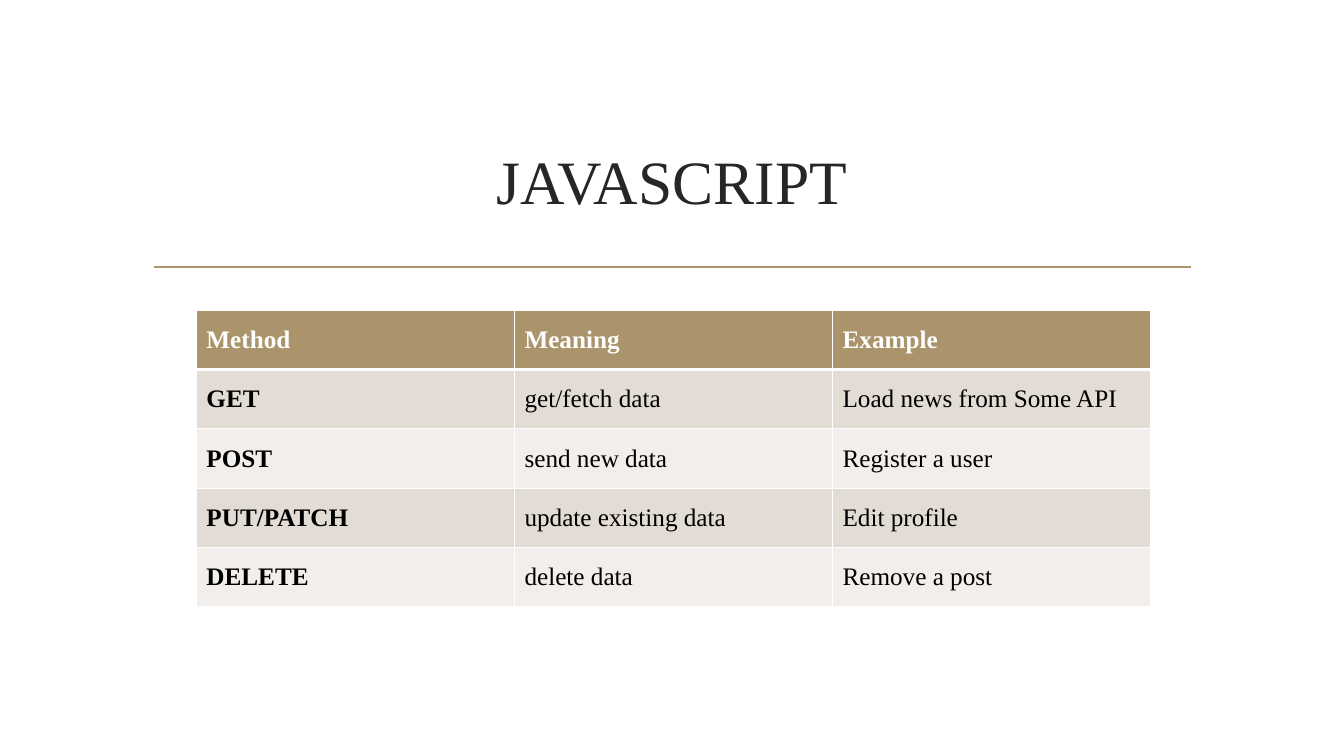
from lxml import etree
from pptx import Presentation
from pptx.dml.color import RGBColor
from pptx.enum.shapes import MSO_CONNECTOR
from pptx.enum.text import MSO_ANCHOR, PP_ALIGN
from pptx.oxml.ns import qn
from pptx.util import Pt

STRAIGHT = MSO_CONNECTOR.STRAIGHT
MIDDLE = MSO_ANCHOR.MIDDLE
CENTER = PP_ALIGN.CENTER

TITLE = "JAVASCRIPT"
ROWS = [
    ("Method", "Meaning", "Example"),
    ("GET", "get/fetch data", "Load news from Some API"),
    ("POST", "send new data", "Register a user"),
    ("PUT/PATCH", "update existing data", "Edit profile"),
    ("DELETE", "delete data", "Remove a post"),
]
FONT = "Times New Roman"
GOLD, WHITE, BLACK, CHARCOAL = "AB946B", "FFFFFF", "000000", "262626"
BANDS = ("F1EEEB", "E2DCD4")

PAGE_WIDTH, PAGE_HEIGHT = 960, 540
TITLE_BOX = (102, 77, 756, 103)
RULE_LEFT, RULE_RIGHT, RULE_TOP = 110.2, 850.5, 190.8
TABLE_LEFT, TABLE_TOP = 140.3, 221.6
COLUMN_WIDTH, ROW_HEIGHT = 227.2, 42.35


def color(value):
    return RGBColor.from_string(value)


def style(paragraph, size, ink, bold=False):
    for span in paragraph.runs:
        span.font.name = FONT
        span.font.size = Pt(size)
        span.font.bold = bold
        span.font.color.rgb = color(ink)


def add_border(cell, side, width):
    line = etree.SubElement(cell._tc.get_or_add_tcPr(), qn(f"a:ln{side}"), w=str(Pt(width)))
    fill = etree.SubElement(line, qn("a:solidFill"))
    etree.SubElement(fill, qn("a:srgbClr"), val=WHITE)


def add_title(page):
    box = page.shapes.add_textbox(*map(Pt, TITLE_BOX))
    frame = box.text_frame
    frame.word_wrap = True
    frame.vertical_anchor = MIDDLE
    frame.text = TITLE
    para = frame.paragraphs[0]
    para.alignment = CENTER
    style(para, 44, CHARCOAL)


def add_rule(page):
    rule = page.shapes.add_connector(
        STRAIGHT, Pt(RULE_LEFT), Pt(RULE_TOP), Pt(RULE_RIGHT), Pt(RULE_TOP))
    # Without the theme style, only the line settings below apply.
    rule._element.remove(rule._element.find(qn("p:style")))
    rule.line.width = Pt(1.25)
    rule.line.fill.solid()
    rule.line.fill.fore_color.rgb = color(GOLD)
    etree.SubElement(rule._element.spPr, qn("a:effectLst"))


def fill_cell(cell, text, row, column):
    header = row == 0
    for side in "LRTB":
        heavy = (row, side) in ((0, "B"), (1, "T"))
        add_border(cell, side, 3 if heavy else 1)
    cell.fill.solid()
    cell.fill.fore_color.rgb = color(GOLD if header else BANDS[row % 2])
    cell.vertical_anchor = MIDDLE
    cell.text_frame.text = text
    style(cell.text_frame.paragraphs[0], 18, WHITE if header else BLACK,
          bold=header or column == 0)


def add_methods_table(page):
    row_count, column_count = len(ROWS), len(ROWS[0])
    table = page.shapes.add_table(
        row_count, column_count, Pt(TABLE_LEFT), Pt(TABLE_TOP),
        Pt(COLUMN_WIDTH * column_count), Pt(ROW_HEIGHT * row_count)).table
    for column in table.columns:
        column.width = Pt(COLUMN_WIDTH)
    for row in table.rows:
        row.height = Pt(ROW_HEIGHT)
    for row, texts in enumerate(ROWS):
        for column, text in enumerate(texts):
            fill_cell(table.cell(row, column), text, row, column)


def main():
    deck = Presentation()
    deck.slide_width, deck.slide_height = Pt(PAGE_WIDTH), Pt(PAGE_HEIGHT)
    page = deck.slides.add_slide(deck.slide_layouts[6])
    add_rule(page)
    add_title(page)
    add_methods_table(page)
    deck.save("out.pptx")


if __name__ == "__main__":
    main()
